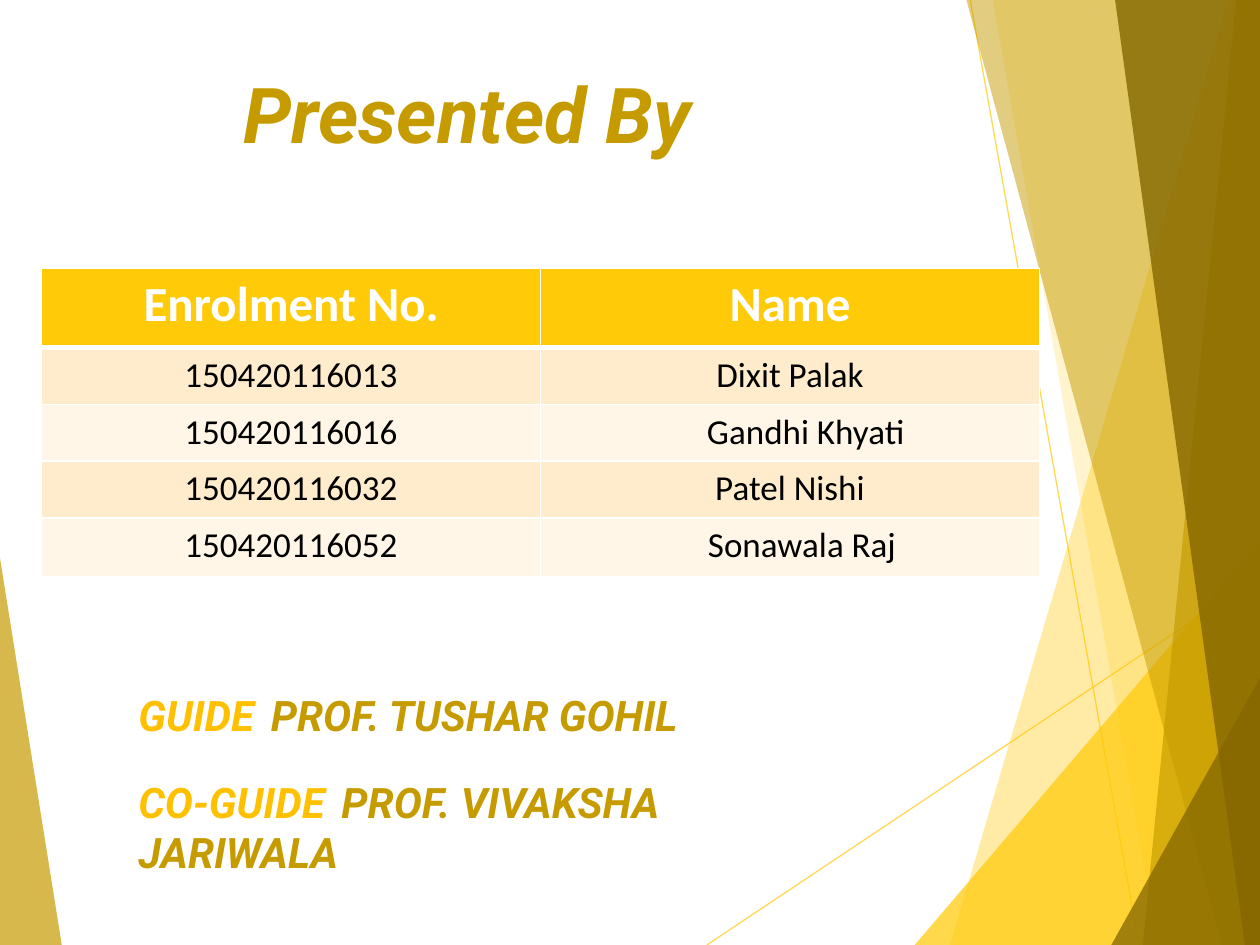
from lxml import etree
from pptx import Presentation, util as u
from pptx.dml.color import RGBColor
from pptx.enum import shapes, text
from pptx.oxml import ns

GOLD, OCHRE, BROWN, WHITE, BLACK = "FFCA08", "C59B00", "846700", "FFFFFF", "000000"
AMBER = "FFC000"
RAYS = [((5.61, 7.5), (10, 4.57)), ((7.7, 0), (9.04, 7.5))]
FACETS = [
    (GOLD, 36, [(9.75, 0), (7.54, 7.5), (10, 7.5), (10, 0)]),
    (GOLD, 20, [(7.88, 0), (9.19, 7.5), (10, 7.5), (10, 0)]),
    (GOLD, 72, [(7.26, 7.5), (10, 4.29), (10, 7.5)]),
    (OCHRE, 50, [(7.67, 0), (9.7, 7.5), (10, 7.5), (10, 0)]),
    (OCHRE, 66, [(9.81, 0), (9.07, 7.5), (10, 7.5), (10, 0)]),
    (BROWN, 80, [(8.85, 0), (9.88, 7.5), (10, 7.5), (10, 0)]),
    (BROWN, 76, [(8.82, 7.5), (10, 5.38), (10, 7.5)]),
    (OCHRE, 70, [(0, 4.43), (0.49, 7.5), (0, 7.5)]),
]
STUDENTS = [
    ("Enrolment No.", "Name"),
    ("150420116013", "Dixit Palak"),
    ("150420116016", "Gandhi Khyati"),
    ("150420116032", "Patel Nishi"),
    ("150420116052", "Sonawala Raj"),
]
NAME_INDENTS = {"Gandhi Khyati": 0.25, "Sonawala Raj": 0.19}
ROW_HEIGHTS = [0.63, 0.45, 0.45, 0.45, 0.47]
GUIDES = [("GUIDE", "PROF. TUSHAR GOHIL"), ("CO-GUIDE", "PROF. VIVAKSHA JARIWALA")]

HEADING = {"name": "Roboto", "size": u.Pt(44), "bold": True, "italic": True}
LABEL = {**HEADING, "size": u.Pt(24)}
COLON = {"name": "Times New Roman", "size": u.Pt(18), "bold": False, "italic": False}
HEADER = {"name": "Calibri", "size": u.Pt(28), "bold": True}
BODY = {"name": "Calibri", "size": u.Pt(20), "bold": False}


def paint(color_format, color):
    color_format.rgb = RGBColor.from_string(color)


def fill_solid(fill, color):
    fill.solid()
    paint(fill.fore_color, color)


def set_opacity(element, percent):
    color = next(element.iter(ns.qn("a:srgbClr")))
    etree.SubElement(color, ns.qn("a:alpha"), val=str(percent * 1000))


def add_span(para, words, style, color):
    span = para.add_run()
    span.text = words
    for name, value in style.items():
        setattr(span.font, name, value)
    paint(span.font.color, color)


def add_ray(slide, start, end):
    ends = [u.Inches(value) for value in start + end]
    ray = slide.shapes.add_connector(shapes.MSO_CONNECTOR.STRAIGHT, *ends)
    ray.line.width = u.Pt(0.75)
    fill_solid(ray.line.fill, GOLD)
    properties = ray.line._get_or_add_ln()
    set_opacity(properties, 70)
    etree.SubElement(properties.getparent(), ns.qn("a:effectLst"))


def add_facet(slide, color, opacity, corners):
    points = [(u.Inches(x), u.Inches(y)) for x, y in corners]
    builder = slide.shapes.build_freeform(*points[0])
    builder.add_line_segments(points[1:], close=True)
    facet = builder.convert_to_shape()
    facet.shadow.inherit = False
    facet.line.fill.background()
    fill_solid(facet.fill, color)
    set_opacity(facet.fill._xPr.find(ns.qn("a:solidFill")), opacity)


def add_borders(cell, bottom):
    properties = cell._tc.get_or_add_tcPr()
    for side, width in zip("LRTB", (1, 1, 1, bottom)):
        line = etree.SubElement(properties, ns.qn(f"a:ln{side}"), w=str(u.Pt(width)))
        fill = etree.SubElement(line, ns.qn("a:solidFill"))
        etree.SubElement(fill, ns.qn("a:srgbClr"), val=WHITE)


def add_students(slide):
    frame = slide.shapes.add_table(
        len(STUDENTS), 2, u.Inches(0.33), u.Inches(2.13),
        u.Inches(7.92), u.Inches(sum(ROW_HEIGHTS)))
    table = frame.table
    for row, (values, height) in enumerate(zip(STUDENTS, ROW_HEIGHTS)):
        table.rows[row].height = u.Inches(height)
        style, color = (BODY, BLACK) if row else (HEADER, WHITE)
        shade = ("FFF6E7", "FFECCC")[row % 2] if row else GOLD
        for column, value in enumerate(values):
            cell = table.cell(row, column)
            add_borders(cell, 1 if row else 3)
            fill_solid(cell.fill, shade)
            cell.margin_left = u.Inches(0.1 + NAME_INDENTS.get(value, 0))
            para = cell.text_frame.paragraphs[0]
            para.alignment = text.PP_ALIGN.CENTER
            add_span(para, value, style, color)


def add_guides(slide):
    box = slide.shapes.add_textbox(
        u.Inches(1), u.Inches(5.42), u.Inches(5.34), u.Inches(1.51))
    frame = box.text_frame
    frame.word_wrap = True
    for index, (role, name) in enumerate(GUIDES):
        para = frame.add_paragraph() if index else frame.paragraphs[0]
        if index:
            para.space_before = u.Pt(21)
        add_span(para, role, LABEL, AMBER)
        add_span(para, ": ", COLON, WHITE)
        add_span(para, name, LABEL, OCHRE)


def set_title(slide):
    title = slide.shapes.title
    place = {"left": 0.67, "top": 0.48, "width": 6.08, "height": 1.26}
    for name, value in place.items():
        setattr(title, name, u.Inches(value))
    title.text_frame.vertical_anchor = text.MSO_ANCHOR.TOP
    para = title.text_frame.paragraphs[0]
    para.alignment = text.PP_ALIGN.CENTER
    add_span(para, "Presented By", HEADING, OCHRE)


def main():
    deck = Presentation()
    deck.slide_width, deck.slide_height = u.Inches(10), u.Inches(7.5)
    slide = deck.slides.add_slide(deck.slide_layouts[5])
    for ray in RAYS:
        add_ray(slide, *ray)
    for facet in FACETS:
        add_facet(slide, *facet)
    set_title(slide)
    add_students(slide)
    add_guides(slide)
    deck.save("out.pptx")


if __name__ == "__main__":
    main()
